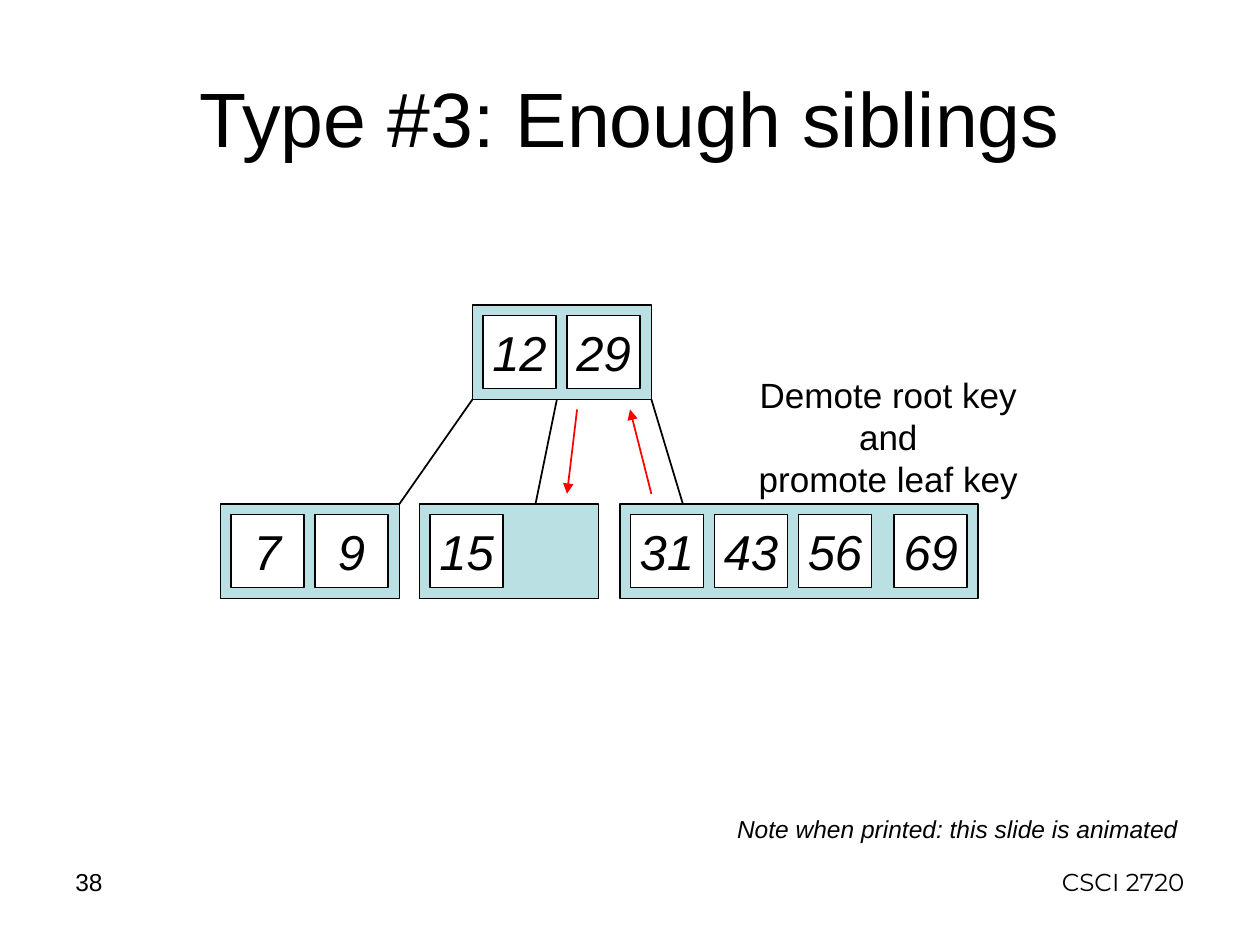
from dataclasses import dataclass

from lxml import etree
from pptx import Presentation
from pptx.dml.color import RGBColor
from pptx.enum.shapes import MSO_CONNECTOR, MSO_SHAPE
from pptx.enum.text import MSO_ANCHOR, PP_ALIGN
from pptx.oxml.ns import qn
from pptx.util import Inches, Pt

RECT = MSO_SHAPE.RECTANGLE
STRAIGHT = MSO_CONNECTOR.STRAIGHT
TOP, MIDDLE = MSO_ANCHOR.TOP, MSO_ANCHOR.MIDDLE
LEFT, CENTER, RIGHT = PP_ALIGN.LEFT, PP_ALIGN.CENTER, PP_ALIGN.RIGHT


@dataclass(frozen=True)
class Theme:
    """Colours, fonts and type sizes of the slide."""
    ink: RGBColor = RGBColor(0, 0, 0)
    node: RGBColor = RGBColor(0xBB, 0xE0, 0xE3)
    key: RGBColor = RGBColor(0xFF, 0xFF, 0xFF)
    move: RGBColor = RGBColor(0xFF, 0, 0)
    font: str = "Arial"
    footer_font: str = "Montserrat"
    title: int = 44
    key_size: int = 28
    caption: int = 20
    small: int = 14


T = Theme()
NODE_W, NODE_H = 1.42, 0.75
KEY, PAD, PITCH = 0.58, 0.083, 0.667
ROOT_TOP, LEAF_TOP = 2.42, 4
NODES = [
    (3.75, ROOT_TOP, NODE_W, ["12", "29"]),
    (1.75, LEAF_TOP, NODE_W, ["7", "9"]),
    (3.33, LEAF_TOP, NODE_W, ["15"]),
    (4.92, LEAF_TOP, 2 * NODE_W, ["31", "43", "56"]),
]
BRANCHES = [(3.75, 3.17), (4.42, 4.25), (5.17, 5.42)]
MOVES = [((5.17, 3.92), (5, 3.25)), ((4.58, 3.25), (4.5, 3.92))]


def write(tf, lines, size, align=CENTER, anchor=MIDDLE, name=T.font, italic=False):
    """Fill a text frame with one formatted paragraph per line."""
    tf.vertical_anchor = anchor
    for i, line in enumerate(lines):
        p = tf.add_paragraph() if i else tf.paragraphs[0]
        p.alignment = align
        r = p.add_run()
        r.text = line
        for attr, value in {"name": name, "size": Pt(size), "italic": italic}.items():
            setattr(r.font, attr, value)
        r.font.color.rgb = T.ink


def add_text(s, box, lines, size, wrap=False, **style):
    """Add a text box."""
    tf = s.shapes.add_textbox(*map(Inches, box)).text_frame
    tf.word_wrap = wrap
    write(tf, lines, size, **style)


def add_box(s, box, fill):
    """Add an outlined rectangle."""
    sp = s.shapes.add_shape(RECT, *map(Inches, box))
    sp.shadow.inherit = False
    sp.fill.solid()
    sp.fill.fore_color.rgb = fill
    sp.line.color.rgb = T.ink
    sp.line.width = Pt(1)
    return sp


def add_key(s, left, top, label):
    """Add one key cell."""
    tf = add_box(s, (left, top, KEY, KEY), T.key).text_frame
    tf.word_wrap = False
    write(tf, [label], T.key_size, italic=True)


def add_node(s, left, top, width, keys):
    """Add a tree node with its keys in a row."""
    add_box(s, (left, top, width, NODE_H), T.node)
    for i, label in enumerate(keys):
        add_key(s, left + PAD + i * PITCH, top + PAD, label)


def add_line(s, start, end, color, arrow=False):
    """Add a straight line, with an arrowhead at its end if asked."""
    line = s.shapes.add_connector(STRAIGHT, *map(Inches, (*start, *end)))
    line.line.color.rgb = color
    line.line.width = Pt(1)
    sp_pr = line._element.spPr
    if arrow:
        etree.SubElement(sp_pr.find(qn("a:ln")), qn("a:tailEnd"), type="triangle")
    etree.SubElement(sp_pr, qn("a:effectLst"))


def add_title(s, box, text):
    """Place and fill the title placeholder."""
    title = s.shapes.title
    for attr, value in zip(("left", "top", "width", "height"), box):
        setattr(title, attr, Inches(value))
    write(title.text_frame, [text], T.title)


def main():
    """Build and save the slide."""
    prs = Presentation()
    prs.slide_width, prs.slide_height = Inches(10), Inches(7.5)
    s = prs.slides.add_slide(prs.slide_layouts[5])
    add_title(s, (0.5, 0.3, 9, 1.25), "Type #3: Enough siblings")
    for node in NODES:
        add_node(s, *node)
    add_key(s, 4.92 + 2 * NODE_W - PAD - KEY, LEAF_TOP + PAD, "69")
    for x1, x2 in BRANCHES:
        add_line(s, (x1, ROOT_TOP + NODE_H), (x2, LEAF_TOP), T.ink)
    for start, end in MOVES:
        add_line(s, start, end, T.move, arrow=True)
    add_text(s, (5.66, 3.08, 2.78, 0.77),
             ["Demote root key and", "promote leaf key"], T.caption)
    add_text(s, (5.75, 6.41, 3.7, 0.34),
             ["Note when printed: this slide is animated"], T.small, italic=True)
    add_text(s, (0.5, 6.83, 2.33, 0.52), ["38"], T.small, wrap=True,
             align=LEFT, anchor=TOP)
    add_text(s, (7.17, 6.83, 2.33, 0.5), ["CSCI 2720"], T.small, wrap=True,
             align=RIGHT, anchor=TOP, name=T.footer_font)
    prs.save("out.pptx")


if __name__ == "__main__":
    main()
